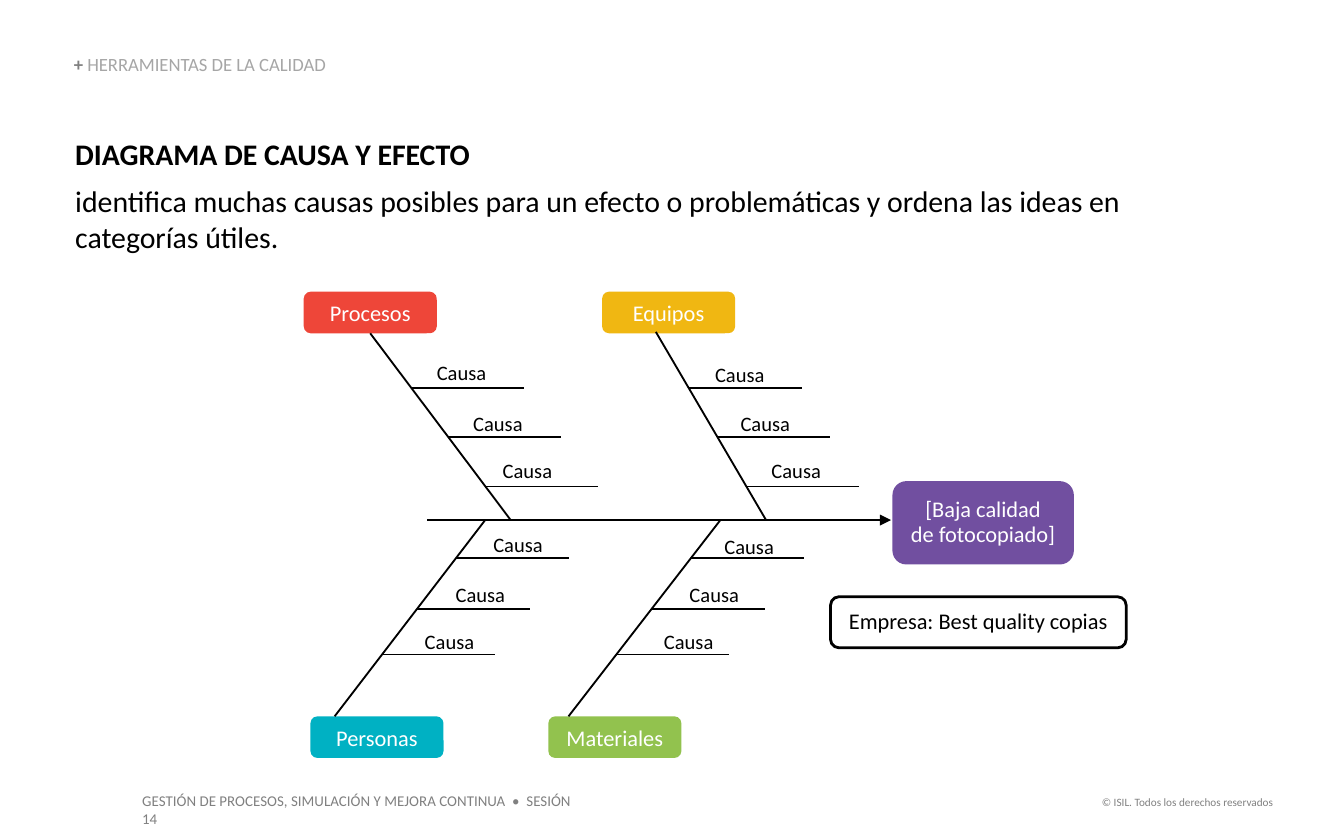
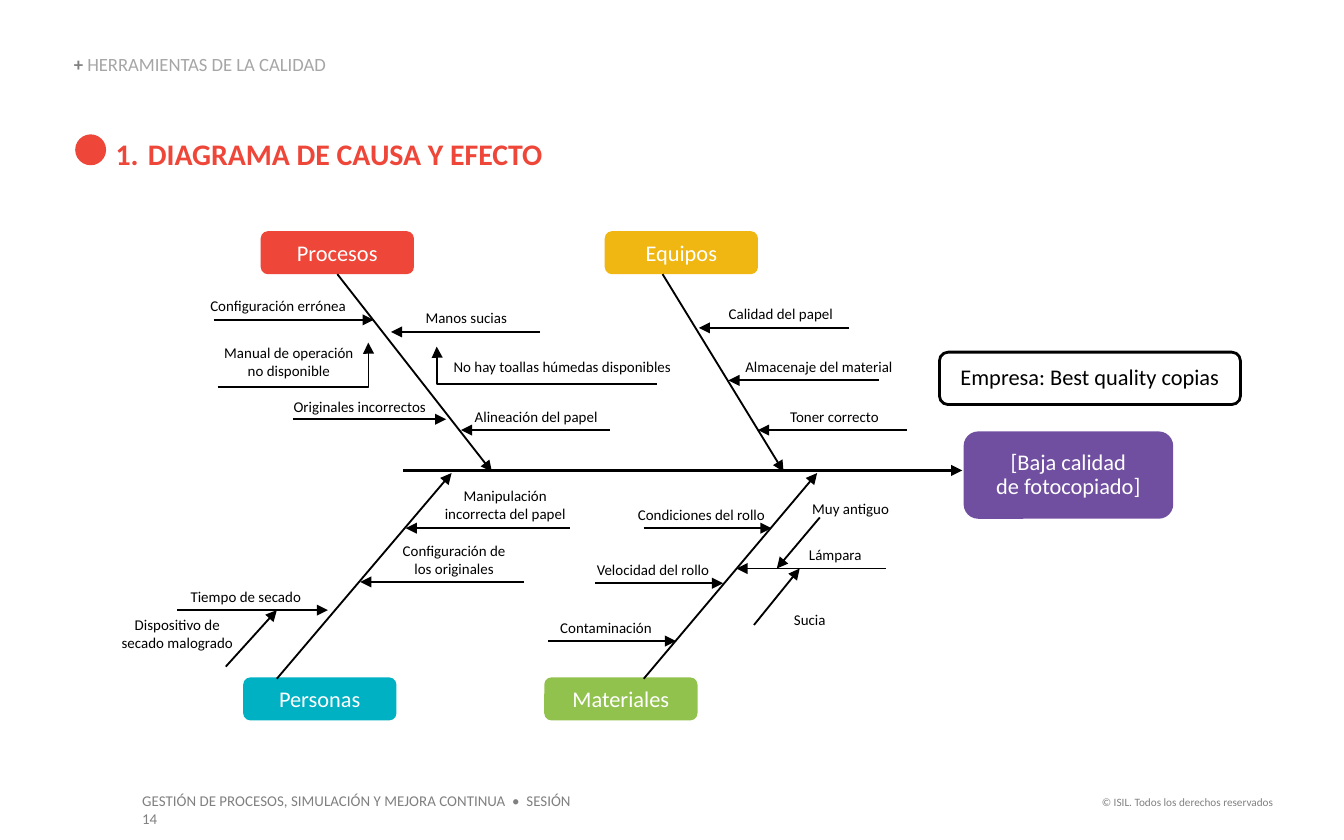
from pptx import Presentation
from pptx.dml.color import RGBColor
from pptx.enum.shapes import MSO_CONNECTOR, MSO_SHAPE
from pptx.enum.text import MSO_ANCHOR, PP_ALIGN
from pptx.oxml.ns import qn
from pptx.util import Inches, Pt
from lxml import etree

STRAIGHT, ELBOW = MSO_CONNECTOR.STRAIGHT, MSO_CONNECTOR.ELBOW
ROUNDED, OVAL = MSO_SHAPE.ROUNDED_RECTANGLE, MSO_SHAPE.OVAL
LEFT, CENTER, RIGHT = PP_ALIGN.LEFT, PP_ALIGN.CENTER, PP_ALIGN.RIGHT
TOP, MIDDLE, BOTTOM = MSO_ANCHOR.TOP, MSO_ANCHOR.MIDDLE, MSO_ANCHOR.BOTTOM
BOTTOM_SITE = 2

FONT = "Calibri"
BLACK = RGBColor(0x00, 0x00, 0x00)
WHITE = RGBColor(0xFF, 0xFF, 0xFF)
GRAY = RGBColor(0x80, 0x80, 0x80)
LIGHT_GRAY = RGBColor(0xA6, 0xA6, 0xA6)
RED = RGBColor(0xEE, 0x46, 0x39)
YELLOW = RGBColor(0xF0, 0xB7, 0x12)
GREEN = RGBColor(0x92, 0xC2, 0x4E)
TEAL = RGBColor(0x00, 0xB1, 0xC3)
PURPLE = RGBColor(0x71, 0x4F, 0xA0)

TITLE = "DIAGRAMA DE CAUSA Y EFECTO"
CATEGORY_COLORS = {"Procesos": RED, "Equipos": YELLOW,
                   "Personas": TEAL, "Materiales": GREEN}


class Deck:
    def __init__(self):
        self.prs = Presentation()
        self.prs.slide_width, self.prs.slide_height = Inches(10), Inches(6.25)
        self.s = None

    def new_slide(self):
        """Start a slide with the shared header and footer."""
        self.s = self.prs.slides.add_slide(self.prs.slide_layouts[6])
        tf = self.text_box((8.07, 5.87, 1.5, 0.2), inset=None)
        self.add_text(tf.paragraphs[0], "© ISIL. Todos los derechos reservados",
                      6, GRAY, align=RIGHT)
        tf = self.text_box((0.96, 5.84, 3.53, 0.24), inset=None)
        self.add_text(tf.paragraphs[0],
                      "GESTIÓN DE PROCESOS, SIMULACIÓN Y MEJORA CONTINUA  •  SESIÓN 14",
                      8, GRAY)
        tf = self.text_box((0.55, 0.41, 2.66, 0.15), anchor=BOTTOM)
        p = tf.paragraphs[0]
        p.line_spacing = 0.9
        self.add_text(p, "+ ", 10, GRAY, bold=True)
        self.add_text(p, "HERRAMIENTAS DE LA CALIDAD", 10, LIGHT_GRAY)

    def text_box(self, box, anchor=TOP, inset=0):
        tf = self.s.shapes.add_textbox(*map(Inches, box)).text_frame
        tf.word_wrap = True
        tf.vertical_anchor = anchor
        if inset is not None:
            tf.margin_left = tf.margin_right = Inches(inset)
            tf.margin_top = tf.margin_bottom = Inches(inset)
        return tf

    def add_text(self, p, text, size, color, bold=False, align=LEFT):
        """Add the text to a paragraph, one run per line."""
        p.alignment = align
        for i, line in enumerate(text.split("\n")):
            if i:
                p.add_line_break()
            r = p.add_run()
            r.text = line
            r.font.name, r.font.size, r.font.bold = FONT, Pt(size), bold
            r.font.color.rgb = color

    def label(self, text, box, size=8):
        tf = self.text_box(box)
        self.add_text(tf.paragraphs[0], text, size, BLACK, align=CENTER)

    def shape(self, kind, box, fill=None, text="", spacing=None):
        """Filled shape with white text, or a black outline with black text."""
        sp = self.s.shapes.add_shape(kind, *map(Inches, box))
        sp.shadow.inherit = False
        if fill is None:
            sp.fill.background()
            sp.line.color.rgb = BLACK
            sp.line.width = Pt(1.5)
        else:
            sp.fill.solid()
            sp.fill.fore_color.rgb = fill
            sp.line.fill.background()
        if text:
            tf = sp.text_frame
            tf.word_wrap = True
            tf.vertical_anchor = MIDDLE
            p = tf.paragraphs[0]
            if spacing:
                p.line_spacing = spacing
            self.add_text(p, text, 12, BLACK if fill is None else WHITE, align=CENTER)
        return sp

    def categories(self, places, width, height):
        return {name: self.shape(ROUNDED, (x, y, width, height),
                                 CATEGORY_COLORS[name], name)
                for name, (x, y) in places.items()}

    def effect_and_company(self, effect_box, company_box):
        self.shape(ROUNDED, effect_box, PURPLE,
                   "[Baja calidad\nde fotocopiado]", spacing=0.9)
        self.shape(ROUNDED, company_box, None,
                   "Empresa: Best quality copias", spacing=0.9)

    def line(self, start, end, width=1, arrow=False, bend=None):
        """Straight line, or an elbow that turns at the share given by bend."""
        c = self.s.shapes.add_connector(STRAIGHT if bend is None else ELBOW,
                                        *map(Inches, start + end))
        c.line.color.rgb = BLACK
        c.line.width = Pt(width)
        sp_pr = c._element.spPr
        if arrow:
            etree.SubElement(sp_pr.find(qn("a:ln")), qn("a:tailEnd"), type="triangle")
        if bend is not None:
            av = sp_pr.find(qn("a:prstGeom")).find(qn("a:avLst"))
            etree.SubElement(av, qn("a:gd"), name="adj1",
                             fmla=f"val {round(bend * 100000)}")
        etree.SubElement(sp_pr, qn("a:effectLst"))
        return c


def concept_slide(deck):
    deck.new_slide()

    # Definition
    tf = deck.text_box((0.56, 1.01, 8.69, 0.94))
    p = tf.paragraphs[0]
    p.space_after = Pt(6)
    deck.add_text(p, TITLE, 16, BLACK, bold=True)
    deck.add_text(tf.add_paragraph(),
                  "identifica muchas causas posibles para un efecto o problemáticas "
                  "y ordena las ideas en categorías útiles.", 16, BLACK)

    # Categories, effect and spine
    spine_y = 3.87
    boxes = deck.categories({"Procesos": (2.26, 2.17), "Equipos": (4.48, 2.17),
                             "Materiales": (4.08, 5.33), "Personas": (2.31, 5.33)},
                            0.99, 0.31)
    deck.effect_and_company((6.64, 3.58, 1.35, 0.62), (6.18, 4.44, 2.2, 0.38))
    deck.line((3.18, spine_y), (6.63, spine_y), 1.5, arrow=True)

    # Bones: start, x on the spine, and the corner of each cause label
    upper, lower = (2.89, 3.25, 3.62), (4.15, 4.53, 4.87)
    bones = [
        ("Procesos", (2.75, 2.48), 3.8, upper,
         [(3.12, 2.68), (3.39, 3.06), (3.61, 3.41)]),
        ("Equipos", (4.88, 2.47), 5.7, upper,
         [(5.19, 2.69), (5.38, 3.06), (5.61, 3.41)]),
        ("Personas", (2.49, 5.33), 3.61, lower,
         [(3.54, 3.96), (3.26, 4.33), (3.03, 4.68)]),
        ("Materiales", (4.23, 5.33), 5.36, lower,
         [(5.26, 3.97), (5, 4.33), (4.81, 4.68)]),
    ]
    for name, (x0, y0), x1, levels, corners in bones:
        bone = deck.line((x0, y0), (x1, spine_y))
        if name == "Procesos":
            bone.begin_connect(boxes[name], BOTTOM_SITE)
        for y, corner in zip(levels, corners):
            x = x0 + (x1 - x0) * (y - y0) / (spine_y - y0)
            deck.line((x, y), (x + 0.84, y))
            deck.label("Causa", corner + (0.63, 0.19), 11)


def example_slide(deck):
    deck.new_slide()

    # Numbered title
    deck.shape(OVAL, (0.56, 1, 0.23, 0.23), RED)
    p = deck.text_box((0.86, 1.01, 4.09, 0.27)).paragraphs[0]
    p_pr = p._p.get_or_add_pPr()
    p_pr.set("marL", str(Inches(0.24)))
    p_pr.set("indent", str(Inches(-0.24)))
    etree.SubElement(p_pr, qn("a:buFont"), typeface="+mj-lt")
    etree.SubElement(p_pr, qn("a:buAutoNum"), type="arabicPeriod")
    p.space_after = Pt(6)
    deck.add_text(p, TITLE, 16, RED, bold=True)

    # Categories, effect and spine
    boxes = deck.categories({"Procesos": (1.94, 1.72), "Equipos": (4.5, 1.72),
                             "Materiales": (4.05, 5.04), "Personas": (1.81, 5.04)},
                            1.14, 0.32)
    deck.effect_and_company((7.17, 3.21, 1.56, 0.65), (6.99, 2.62, 2.24, 0.39))
    deck.line((3, 3.5), (7.16, 3.5), 1.5, arrow=True)

    # Bones
    bone = deck.line((2.51, 2.04), (3.66, 3.51), arrow=True)
    bone.begin_connect(boxes["Procesos"], BOTTOM_SITE)
    for start, end in [((4.93, 2.04), (5.83, 3.51)),
                       ((2.06, 5.05), (3.36, 3.52)),
                       ((4.79, 5.05), (6.08, 3.52))]:
        deck.line(start, end, arrow=True)

    # Causes: text, label box, arrow start x, arrow end x, arrow y
    causes = [
        ("Configuración errónea", (1.51, 2.21, 1.12, 0.14), 1.59, 2.78, 2.38),
        ("Manos sucias", (2.91, 2.3, 1.12, 0.14), 4.02, 2.91, 2.47),
        ("Alineación del papel", (3.43, 3.03, 1.12, 0.14), 4.54, 3.43, 3.2),
        ("Originales incorrectos ", (2.13, 2.96, 1.12, 0.14), 2.18, 3.32, 3.12),
        ("Toner correcto", (5.73, 3.03, 0.96, 0.14), 6.75, 5.64, 3.2),
        ("Almacenaje del material", (5.51, 2.66, 1.17, 0.14), 6.54, 5.42, 2.83),
        ("Calidad del papel", (5.3, 2.27, 1.02, 0.14), 6.32, 5.2, 2.44),
        ("Lámpara", (5.84, 4.06, 0.75, 0.14), 6.59, 5.48, 4.23),
        ("Condiciones del rollo", (4.74, 3.76, 0.96, 0.14), 4.79, 5.74, 3.93),
        ("Velocidad del rollo", (4.38, 4.17, 0.96, 0.14), 4.43, 5.38, 4.34),
        ("Contaminación", (4.03, 4.6, 0.96, 0.14), 4.08, 5.03, 4.77),
        ("Manipulación incorrecta del papel", (3.28, 3.62, 0.96, 0.27),
         4.24, 3.02, 3.93),
        ("Configuración de\nlos originales", (2.9, 4.03, 0.96, 0.27),
         3.9, 2.68, 4.33),
        ("Tiempo de secado", (1.35, 4.37, 0.96, 0.14), 1.32, 2.44, 4.54),
    ]
    for text, box, x0, x1, y in causes:
        deck.line((x0, y), (x1, y), arrow=True)
        deck.label(text, box)

    # Secondary causes: text, label box, arrow start, arrow end, bend
    secondary = [
        ("Manual de operación no disponible", (1.63, 2.56, 1.04, 0.27),
         (1.62, 2.88), (2.74, 2.55), 1.002),
        ("No hay toallas húmedas disponibles", (3.33, 2.66, 1.71, 0.14),
         (4.89, 2.86), (3.25, 2.58), 0.998),
        ("Muy antiguo", (5.85, 3.72, 0.96, 0.14), (6.1, 3.85), (5.78, 4.23), None),
        ("Sucia", (5.65, 4.54, 0.75, 0.14), (5.61, 4.65), (5.95, 4.23), None),
        ("Dispositivo de secado malogrado", (0.84, 4.58, 0.96, 0.27),
         (1.68, 4.96), (2.06, 4.54), None),
    ]
    for text, box, start, end, bend in secondary:
        deck.line(start, end, arrow=True, bend=bend)
        deck.label(text, box)


def main():
    deck = Deck()
    concept_slide(deck)
    example_slide(deck)
    deck.prs.save("out.pptx")


if __name__ == "__main__":
    main()
